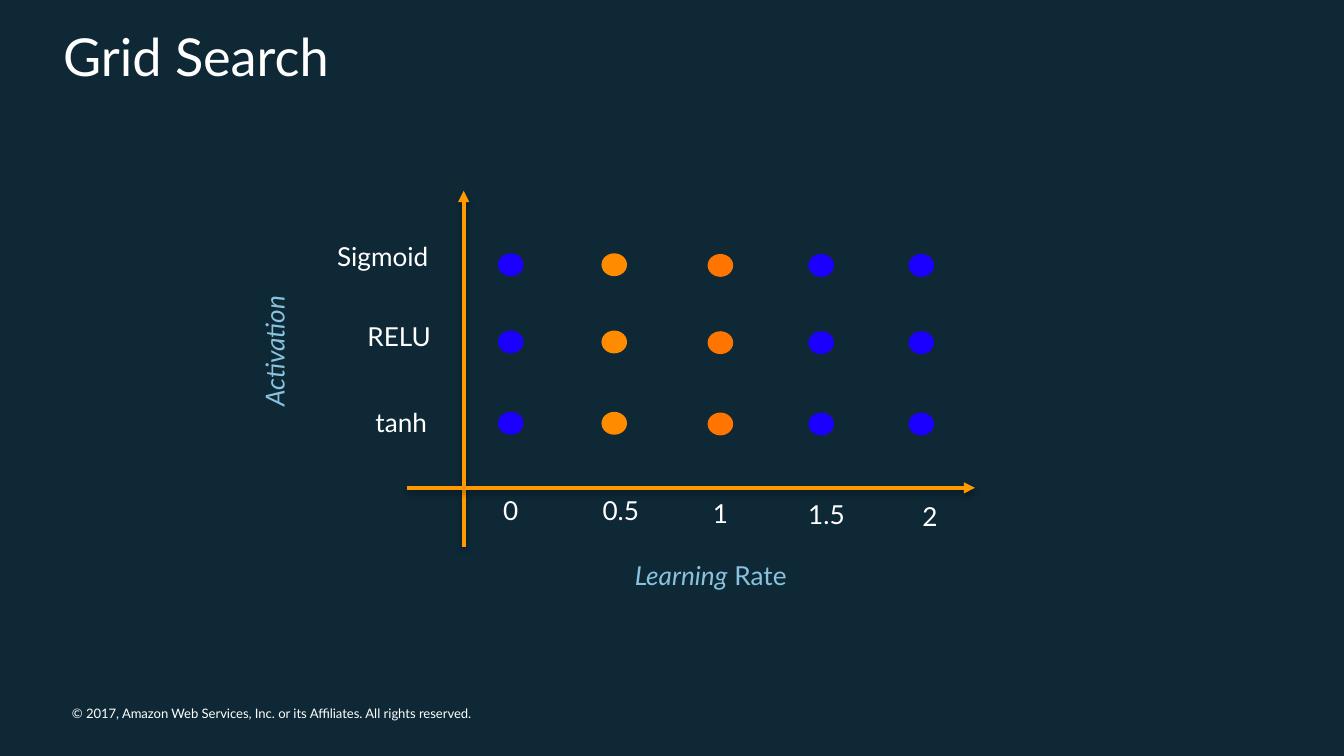
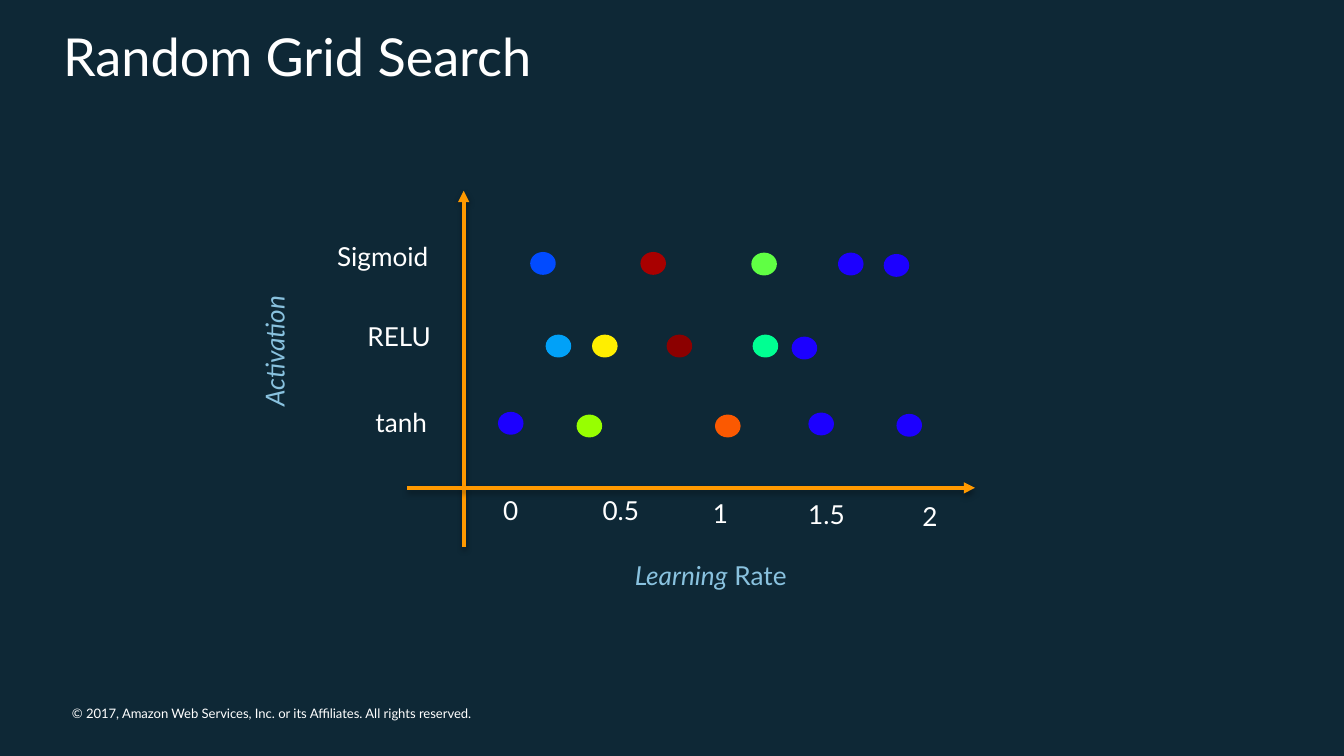
from lxml import etree
from pptx import Presentation
from pptx.dml.color import RGBColor
from pptx.enum.shapes import MSO_CONNECTOR as CONN, MSO_SHAPE as SHAPE
from pptx.enum.text import MSO_ANCHOR as ANCHOR, MSO_AUTO_SIZE as AUTO, PP_ALIGN as ALIGN
from pptx.oxml import parse_xml
from pptx.oxml.ns import nsdecls, qn
from pptx.util import Pt

PX = 4572  # EMU per px, 200 px to the inch
WIDTH, HEIGHT = 2000, 1125

NAVY, WHITE, ORANGE, SKY, BLUE = "0E2836", "FFFFFF", "FF9900", "89C2DF", "1C00FF"
COPYRIGHT = "© 2017, Amazon Web Services, Inc. or its Affiliates. All rights reserved."

SHADOW = f"""<a:effectLst {nsdecls('a')}>
  <a:outerShdw blurRad="39370" dist="20320" dir="5400000" rotWithShape="0">
    <a:srgbClr val="000000"><a:alpha val="38000"/></a:srgbClr>
  </a:outerShdw>
</a:effectLst>"""


def px(*lengths):
    return [n * PX for n in lengths]


def rgb(color):
    return RGBColor.from_string(color)


class Deck:
    """Holds the style and the current slide."""

    font = "Lato"
    label_size = 14
    label_height = 68
    dot_size = (38, 34)

    def __init__(self):
        self.prs = Presentation()
        self.prs.slide_width, self.prs.slide_height = px(WIDTH, HEIGHT)
        self.layout = self.prs.slide_layouts[5]
        self.s = None

    def slide(self, title):
        self.s = self.prs.slides.add_slide(self.layout)
        sp = self.s.shapes.title
        sp.left, sp.top, sp.width, sp.height = px(74, 26, 1794, 120)
        tf = sp.text_frame
        tf.vertical_anchor, tf.auto_size = ANCHOR.TOP, AUTO.NONE
        self.run(tf.paragraphs[0], title, 28)

    def run(self, p, text, size, color=WHITE, italic=False):
        p.alignment = ALIGN.LEFT
        r = p.add_run()
        r.text = text
        fmt = {"name": self.font, "size": Pt(size), "italic": italic}
        for name, value in fmt.items():
            setattr(r.font, name, value)
        r.font.color.rgb = rgb(color)

    def shape(self, kind, x, y, w, h, color):
        sp = self.s.shapes.add_shape(kind, *px(x, y, w, h))
        sp.shadow.inherit = False
        sp.fill.solid()
        sp.fill.fore_color.rgb = rgb(color)
        sp.line.fill.background()
        return sp

    def dot(self, x, y, color):
        self.shape(SHAPE.OVAL, x, y, *self.dot_size, color)

    def label(self, x, y, w, *runs, color=WHITE, rotation=0):
        """Each run is a (text, italic) pair."""
        sp = self.s.shapes.add_textbox(*px(x, y, w, self.label_height))
        sp.rotation = rotation
        tf = sp.text_frame
        tf.word_wrap, tf.auto_size = False, AUTO.SHAPE_TO_FIT_TEXT
        for text, italic in runs:
            self.run(tf.paragraphs[0], text, self.label_size, color, italic)

    def footer(self, text):
        sp = self.s.shapes.add_textbox(*px(107, 1050, 662, 24))
        tf = sp.text_frame
        tf.word_wrap, tf.auto_size = True, AUTO.SHAPE_TO_FIT_TEXT
        for side in ("left", "top", "right", "bottom"):
            setattr(tf, f"margin_{side}", 0)
        self.run(tf.paragraphs[0], text, 7)
        return sp

    def arrow(self, x1, y1, x2, y2):
        sp = self.s.shapes.add_connector(CONN.STRAIGHT, *px(x1, y1, x2, y2))
        sp.line.color.rgb = rgb(ORANGE)
        sp.line.width = Pt(2)
        etree.SubElement(sp.line._get_or_add_ln(), qn("a:tailEnd"), type="triangle")
        sp._element.spPr.append(parse_xml(SHADOW))

    def share(self, *shapes):
        """Move shapes from the slide to the layout."""
        for sp in shapes:
            self.layout.shapes._spTree.append(sp._element)


# Axis labels: text, x, y, width
ACTIVATIONS = [("Sigmoid", 482, 348, 186), ("RELU", 527, 467, 136), ("tanh", 539, 595, 122)]
RATES = [("0", 729, 726, 64), ("0.5", 877, 726, 96), ("1", 1041, 730, 64),
         ("1.5", 1183, 732, 96), ("2", 1353, 735, 64)]

# Regular grid: x, drop and colour of each column; y of each row
GRID_COLUMNS = [(741, 0, BLUE), (895, 0, "FF8B00"), (1053, 1, "FF7500"),
                (1203, 1, BLUE), (1352, 1, BLUE)]
GRID_ROWS = [377, 492, 613]

# Random grid: x, y and colour of each dot, row by row
RANDOM_DOTS = [
    (789, 375, "014BFF"), (953, 375, "A90000"), (1118, 376, "60FF44"),
    (1247, 376, BLUE), (1315, 378, BLUE),
    (812, 498, "01A1F8"), (881, 498, "FFEE00"), (992, 498, "8C0000"),
    (1120, 498, "00FF92"), (1178, 501, BLUE),
    (741, 613, BLUE), (858, 617, "97FF01"), (1064, 617, "FB5901"),
    (1203, 614, BLUE), (1334, 616, BLUE),
]


def search_slide(deck, title, dots):
    deck.slide(title)
    # Axes
    deck.arrow(690, 814, 690, 284)
    deck.arrow(606, 726, 1451, 726)
    # Axis titles and values
    deck.label(925, 823, 288, ("Learning", True), (" Rate", False), color=SKY)
    deck.label(299, 481, 220, ("Activation", True), color=SKY, rotation=270)
    for text, x, y, w in ACTIVATIONS + RATES:
        deck.label(x, y, w, (text, False))
    # Trials
    for x, y, color in dots:
        deck.dot(x, y, color)


def main():
    deck = Deck()
    grid = [(x, y + drop, color) for y in GRID_ROWS for x, drop, color in GRID_COLUMNS]
    search_slide(deck, "Grid Search", grid)
    search_slide(deck, "Random Grid Search", RANDOM_DOTS)
    # Backdrop and footer, shared through the layout
    deck.share(deck.shape(SHAPE.RECTANGLE, 0, 0, WIDTH, HEIGHT, NAVY), deck.footer(COPYRIGHT))
    deck.prs.save("out.pptx")


if __name__ == "__main__":
    main()
